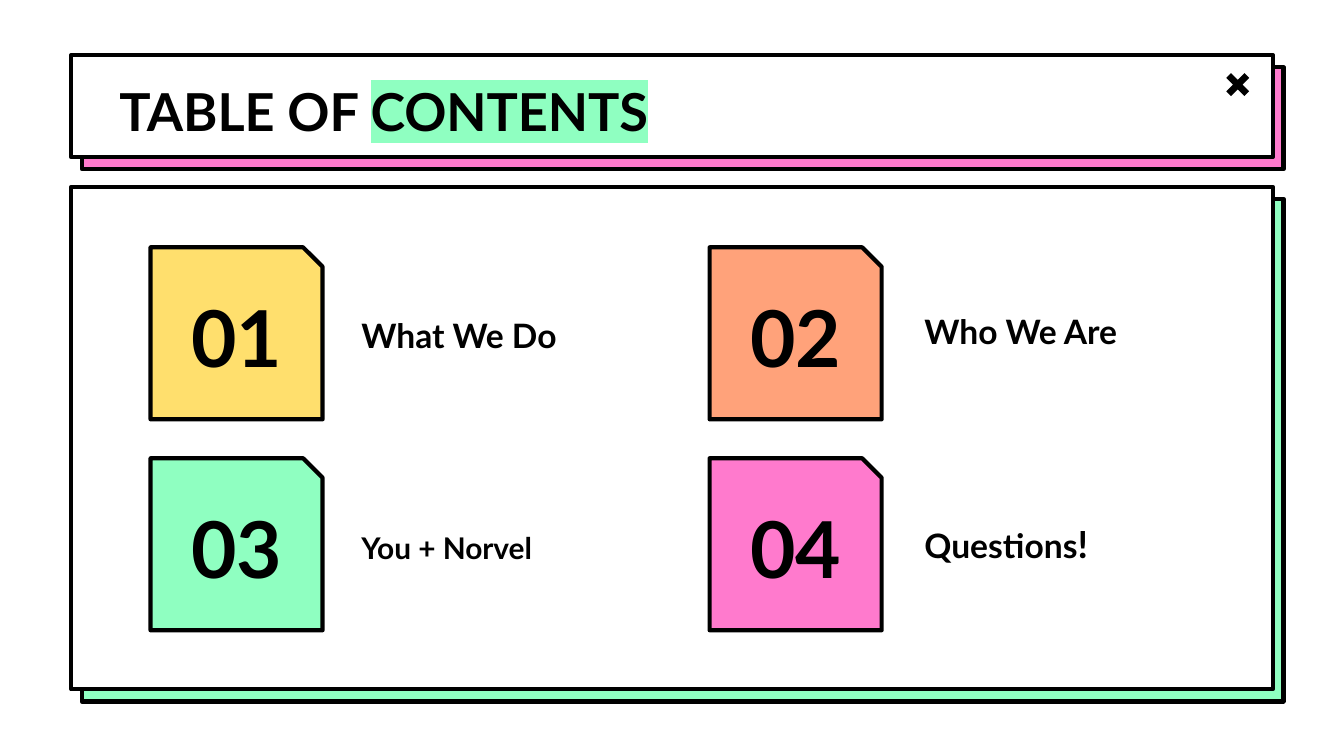
from lxml import etree
from pptx import Presentation
from pptx.dml.color import RGBColor
from pptx.enum import shapes, text
from pptx.oxml.ns import qn
from pptx.util import Inches, Pt

BLACK, WHITE, PINK, MINT = "000000", "FFFFFF", "FF7ACD", "8FFFC1"
FONT = "Lato"
SHAPE = shapes.MSO_SHAPE
TOP, BOTTOM = text.MSO_ANCHOR.TOP, text.MSO_ANCHOR.BOTTOM
LEFT, CENTER = text.PP_ALIGN.LEFT, text.PP_ALIGN.CENTER

# runs: (text, size, highlight)
TITLE = [("TABLE OF ", 28, None), ("CONTENTS", 28, MINT)]
# panels: (top, height, shade colour)
PANELS = [(0.41, 0.76, PINK), (1.39, 3.74, MINT)]
# items: (number, tile colour, label top, label runs), row by row
ITEMS = [
    ("01", "FFDF6D", 2.23, [("What We Do", 18, None)]),
    ("02", "FFA27A", 2.2, [("Who We Are", 18, None)]),
    ("03", MINT, 3.8, [("You + Norvel", 16, None)]),
    ("04", PINK, 3.8, [("Questions", 18, None), ("!", 20, None)]),
]
TILE = 1.28
COLS = [(1.12, 2.59), (5.28, 6.78)]  # tile left, label left
ROWS = [1.84, 3.41]
NUM_W, NUM_H = 1.5, 0.86

deck = Presentation()
deck.slide_width = Inches(10)
deck.slide_height = deck.slide_width * 9 // 16
slide = deck.slides.add_slide(deck.slide_layouts[6])


def rgb(code):
    return RGBColor.from_string(code)


def draw(kind, x, y, w, h, fill, line=True):
    shape = slide.shapes.add_shape(kind, *map(Inches, (x, y, w, h)))
    shape.shadow.inherit = False
    shape.fill.solid()
    shape.fill.fore_color.rgb = rgb(fill)
    if line:
        shape.line.color.rgb = rgb(BLACK)
        shape.line.width = Pt(2.25)
    else:
        shape.line.fill.background()
    return shape


def mark(run, color):
    """Highlight a run; the element must follow the run's fill."""
    light = etree.Element(qn("a:highlight"))
    etree.SubElement(light, qn("a:srgbClr"), val=color)
    run.font._element.find(qn("a:solidFill")).addnext(light)


def write(x, y, w, h, runs, align=LEFT, anchor=TOP):
    frame = slide.shapes.add_textbox(*map(Inches, (x, y, w, h))).text_frame
    frame.word_wrap = True
    frame.vertical_anchor = anchor
    frame.margin_left = frame.margin_right = Inches(0.1)
    frame.margin_top = frame.margin_bottom = Inches(0.1)
    para = frame.paragraphs[0]
    para.alignment = align
    for words, size, light in runs:
        run = para.add_run()
        run.text = words
        run.font.size, run.font.bold = Pt(size), True
        run.font.name = FONT
        run.font.color.rgb = rgb(BLACK)
        if light:
            mark(run, light)


for top, high, shade in PANELS:
    draw(SHAPE.RECTANGLE, 0.61, top + 0.09, 8.94, high, shade)
    draw(SHAPE.RECTANGLE, 0.53, top, 8.94, high, WHITE)

cross = draw(SHAPE.MATH_MULTIPLY, 9.08, 0.5, 0.26, 0.26, BLACK, line=False)
cross.adjustments[0] = 0.193
write(0.79, 0.49, 8.43, 0.63, TITLE)

for i, (num, color, label_y, label) in enumerate(ITEMS):
    x, label_x = COLS[i % 2]
    y = ROWS[i // 2]
    tile = draw(SHAPE.SNIP_1_RECTANGLE, x, y, TILE, TILE, color)
    tile.adjustments[0] = 0.113
    write(x + (TILE - NUM_W) / 2, y + (TILE - NUM_H) / 2, NUM_W, NUM_H,
          [(num, 42, None)], align=CENTER)
    write(label_x, label_y, 2.24, 0.51, label, anchor=BOTTOM)

deck.save("out.pptx")
